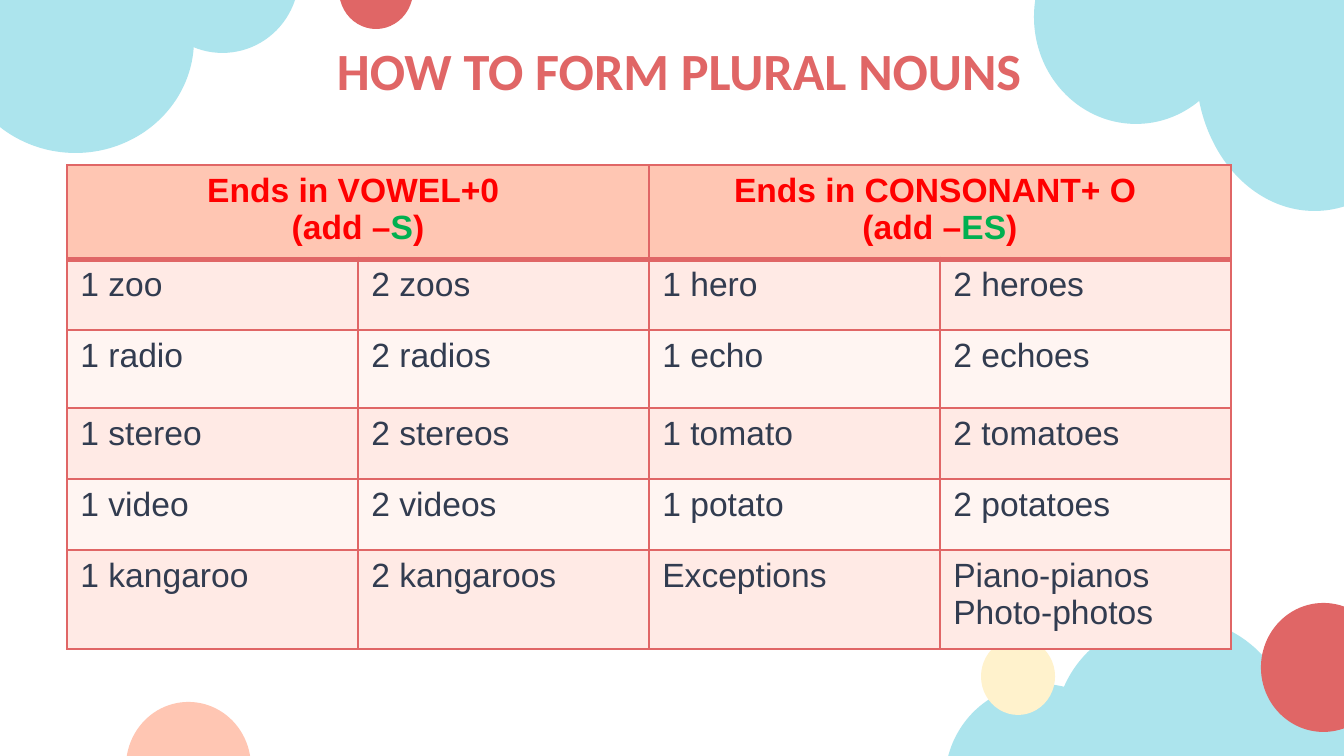
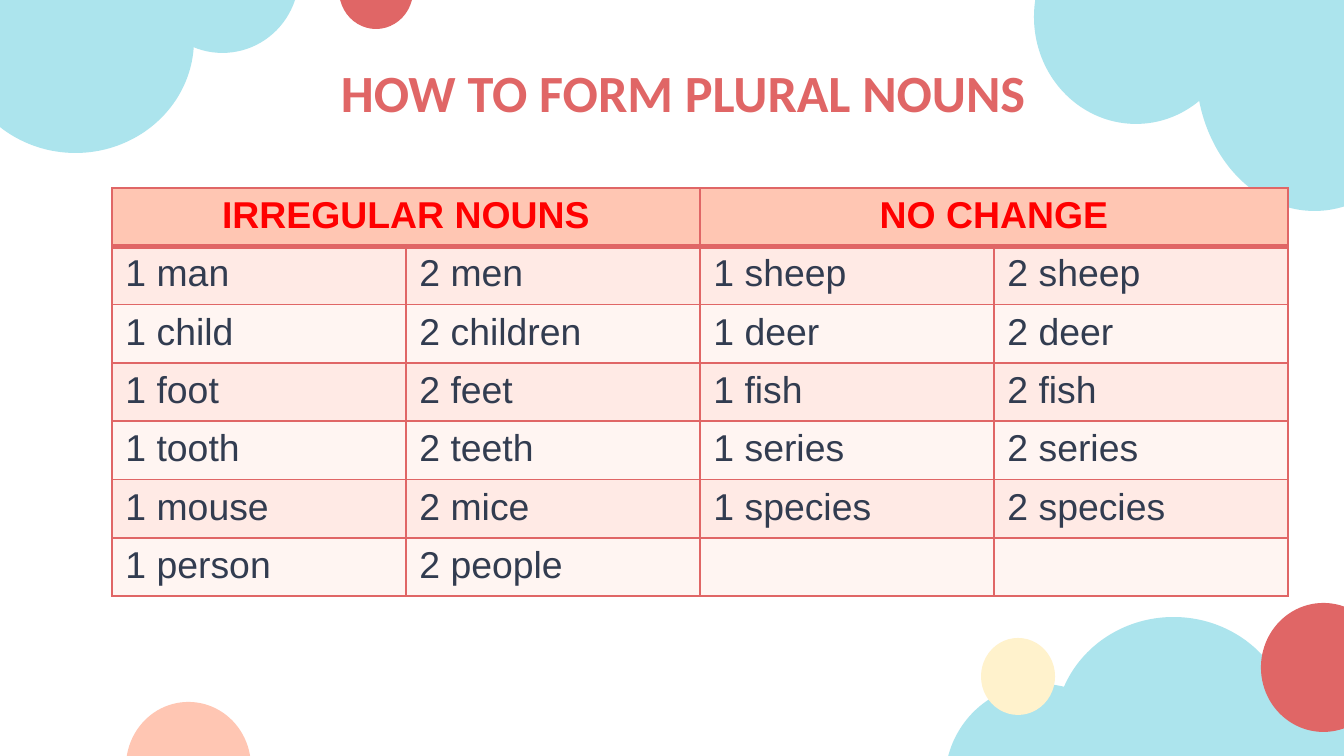
from dataclasses import dataclass
from lxml import etree
from pptx import Presentation
from pptx.dml.color import RGBColor
from pptx.enum.shapes import MSO_SHAPE
from pptx.enum.text import MSO_ANCHOR, PP_ALIGN
from pptx.oxml.ns import qn
from pptx.util import Pt

OVAL = MSO_SHAPE.OVAL
TOP = MSO_ANCHOR.TOP
MID = PP_ALIGN.CENTER
LEFT = PP_ALIGN.LEFT
SCALE = 914400 / 134.4


@dataclass(frozen=True)
class Theme:
    sky: str = "ACE4ED"
    coral: str = "E06666"
    cream: str = "FFF2CC"
    peach: str = "FFC6B3"
    bands: tuple = ("FFF5F2", "FFEAE5")
    ink: str = "323C50"
    red: str = "FF0000"
    green: str = "00B050"
    title: int = 28
    thin: int = 1
    thick: int = 3


T = Theme()


def px(*vals):
    return [round(v * SCALE) for v in vals]


def write(frame, text, align, color, fmt):
    for i, line in enumerate(text.split("\n")):
        para = frame.add_paragraph() if i else frame.paragraphs[0]
        para.alignment = align
        for j, part in enumerate(line.split("|")):
            if not part:
                continue
            run = para.add_run()
            run.text = part
            for key, val in fmt.items():
                setattr(run.font, key, val)
            run.font.color.rgb = RGBColor.from_string(T.green if j % 2 else color)


DOTS = [
    (1258, 667, 192, 194, T.sky),
    (1055, 617, 237, 226, T.sky),
    (945, 684, 192, 194, T.sky),
    (1261, 603, 125, 129, T.coral),
    (981, 638, 74, 77, T.cream),
    (126, 702, 125, 129, T.peach),
    (339, -48, 74, 77, T.coral),
    (146, -102, 153, 155, T.sky),
    (-43, -73, 237, 226, T.sky),
    (1196, -75, 237, 286, T.sky),
    (1034, -90, 204, 214, T.sky),
]

PAGES = [
    {
        "title": (235, 32),
        "grid": (67, 165),
        "col": 291,
        "rows": [71, 71, 78, 71, 71, 99],
        "size": 18,
        "heads": ["Ends in VOWEL+0 \n(add –|S|)", "Ends in CONSONANT+ O \n(add –|ES|)"],
        "body": [
            ["1 zoo", "2 zoos", "1 hero", "2 heroes"],
            ["1 radio", "2 radios", "1 echo", "2 echoes"],
            ["1 stereo", "2 stereos", "1 tomato", "2 tomatoes"],
            ["1 video", "2 videos", "1 potato", "2 potatoes"],
            ["1 kangaroo", "2 kangaroos", "Exceptions", "Piano-pianos\nPhoto-photos"],
        ],
    },
    {
        "title": (239, 54),
        "grid": (112, 188),
        "col": 294,
        "rows": [55] * 7,
        "size": 20,
        "heads": ["IRREGULAR NOUNS", "NO CHANGE"],
        "body": [
            ["1 man", "2 men", "1 sheep", "2 sheep"],
            ["1 child", "2 children", "1 deer", "2 deer"],
            ["1 foot", "2 feet", "1 fish", "2 fish"],
            ["1 tooth", "2 teeth", "1 series", "2 series"],
            ["1 mouse", "2 mice", "1 species", "2 species"],
            ["1 person", "2 people", "", ""],
        ],
    },
]

deck = Presentation()
deck.slide_width, deck.slide_height = px(1344, 756)

for page in PAGES:
    slide = deck.slides.add_slide(deck.slide_layouts[6])

    for *box, color in DOTS:
        dot = slide.shapes.add_shape(OVAL, *px(*box))
        dot.shadow.inherit = False
        dot.fill.solid()
        dot.fill.fore_color.rgb = RGBColor.from_string(color)
        dot.line.fill.background()

    frame = slide.shapes.add_textbox(*px(*page["title"], 888, 105)).text_frame
    frame.word_wrap = True
    frame.vertical_anchor = TOP
    fmt = {"name": "Calibri", "size": Pt(T.title), "bold": True}
    write(frame, "HOW TO FORM PLURAL NOUNS", MID, T.coral, fmt)

    rows = page["rows"]
    box = px(*page["grid"], 4 * page["col"], sum(rows))
    grid = slide.shapes.add_table(len(rows), 4, *box).table
    for col in grid.columns:
        col.width = px(page["col"])[0]
    for row, high in zip(grid.rows, rows):
        row.height = px(high)[0]
    for c in (0, 2):
        grid.cell(0, c).merge(grid.cell(0, c + 1))

    left, right = page["heads"]
    for r, texts in enumerate([[left, "", right, ""], *page["body"]]):
        head = r == 0
        fmt = {"name": "Arial", "size": Pt(page["size"]), "bold": head}
        for c, text in enumerate(texts):
            cell = grid.cell(r, c)
            props = cell._tc.get_or_add_tcPr()
            for side in "LRTB":
                wide = (r, side) in ((0, "B"), (1, "T"))
                width = Pt(T.thick if wide else T.thin)
                edge = etree.SubElement(props, qn("a:ln" + side), w=str(width))
                fill = etree.SubElement(edge, qn("a:solidFill"))
                etree.SubElement(fill, qn("a:srgbClr"), val=T.coral)
            cell.fill.solid()
            shade = T.peach if head else T.bands[r % 2]
            cell.fill.fore_color.rgb = RGBColor.from_string(shade)
            write(cell.text_frame, text, MID if head else LEFT, T.red if head else T.ink, fmt)

deck.save("out.pptx")
